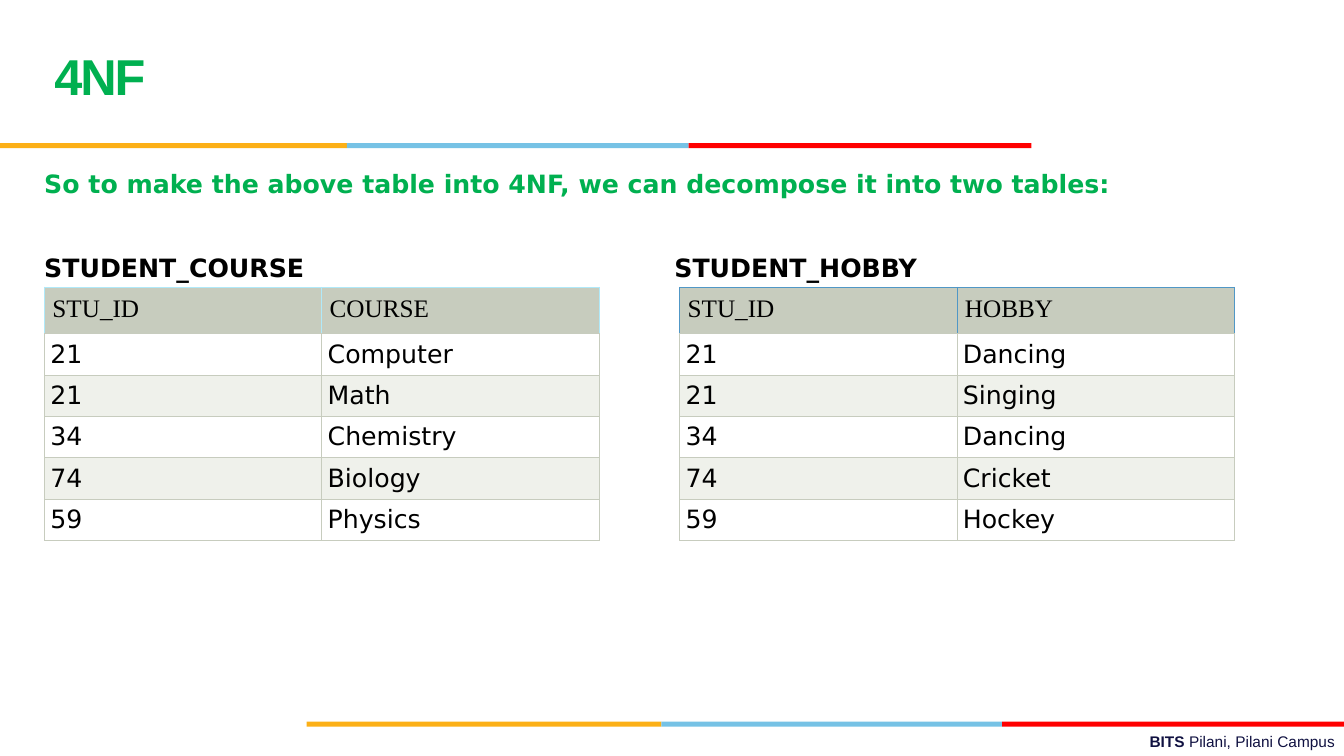
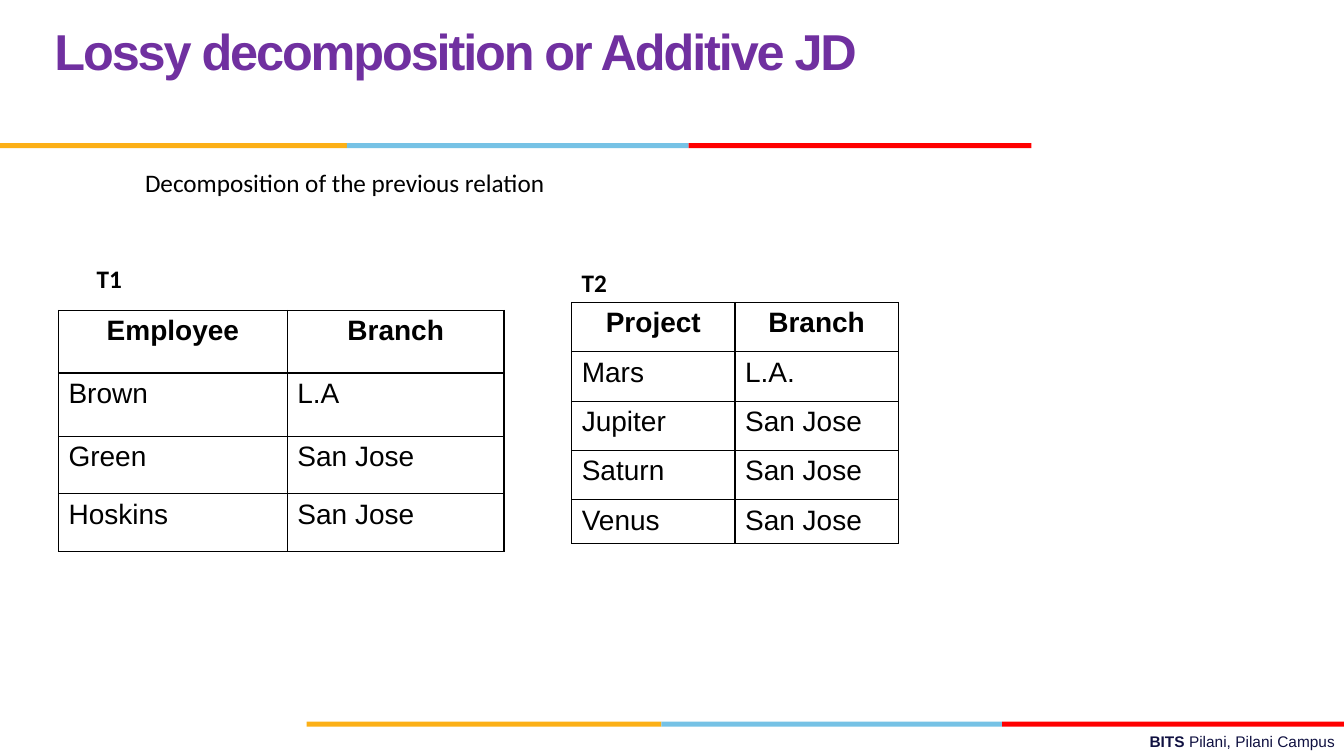
import pptx
import pptx.dml.color
import pptx.enum.shapes
import pptx.enum.text
import pptx.oxml
import pptx.oxml.ns
import pptx.util

Inches = pptx.util.Inches
Pt = pptx.util.Pt
ALIGN = pptx.enum.text.PP_ALIGN

COLORS = {
    "gold": "FCB017",
    "blue": "76C2E5",
    "red": "FF0000",
    "navy": "101141",
    "green": "00B050",
    "purple": "7030A0",
    "black": "000000",
    "white": "FFFFFF",
    "sage": "C7CCBE",
    "pale": "EFF1EB",
    "ice": "B0E9F9",
    "steel": "5097C6",
}
BANDS = ("gold", "blue", "red")


def tint(name):
    return pptx.dml.color.RGBColor.from_string(COLORS[name])


def style(para, face, size, color="black", bold=False, align=ALIGN.LEFT):
    para.alignment = align
    font = para.font
    font.name = face
    font.size = Pt(size)
    font.bold = bold
    font.color.rgb = tint(color)


def place(shape, box):
    shape.left, shape.top, shape.width, shape.height = map(Inches, box)


def label(slide, box, text, face, **look):
    frame = slide.shapes.add_textbox(*map(Inches, box)).text_frame
    frame.word_wrap = True
    para = frame.paragraphs[0]
    para.text = text
    style(para, face, 18, **look)


def stripe(slide, box, widths):
    left, top, _, height = box
    for name, width in zip(BANDS, widths):
        bar = slide.shapes.add_shape(
            pptx.enum.shapes.MSO_SHAPE.RECTANGLE,
            *map(Inches, (left, top, width, height)))
        bar.shadow.inherit = False
        bar.fill.solid()
        bar.fill.fore_color.rgb = tint(name)
        bar.line.fill.background()
        left += width


def footer(slide, box):
    left, top, width, height = box
    stripe(slide, (left, top, width, 0.05), (3.52, 3.38, 3.4))
    note = slide.shapes.add_textbox(
        *map(Inches, (left, top + 0.05, width, height - 0.05)))
    note.text_frame.word_wrap = True
    para = note.text_frame.paragraphs[0]
    style(para, "Arial", 11, "navy", align=ALIGN.RIGHT)
    for text, bold in (("BITS ", True), ("Pilani, Pilani Campus", False)):
        run = para.add_run()
        run.text = text
        run.font.bold = bold


def header(slide, box, text, color):
    title = slide.shapes.title
    place(title, box)
    frame = title.text_frame
    frame.auto_size = pptx.enum.text.MSO_AUTO_SIZE.NONE
    frame.vertical_anchor = pptx.enum.text.MSO_ANCHOR.MIDDLE
    para = frame.paragraphs[0]
    para.text = text
    para.line_spacing = Pt(36)
    style(para, "Arial", 36, color, bold=True)
    para.font._element.set("spc", "-150") if hasattr(para.font, "_element") \
        else para.font._rPr.set("spc", "-150")
    stripe(slide, (0, 1.42, 10.23, 0.05), (3.44, 3.39, 3.4))


def edge(cell, colors, width):
    props = cell._tc.get_or_add_tcPr()
    for spot, (side, name) in enumerate(zip("LRTB", colors)):
        props.insert(spot, pptx.oxml.parse_xml(
            f'<a:ln{side} {pptx.oxml.ns.nsdecls("a")} w="{Pt(width)}">'
            f'<a:solidFill><a:srgbClr val="{COLORS[name]}"/></a:solidFill>'
            f'</a:ln{side}>'))


def grid(slide, spot, cols, rows, data, dress):
    frame = slide.shapes.add_table(
        len(rows), len(cols),
        *map(Inches, (*spot, sum(cols), sum(rows))))
    table = frame.table
    table.first_row = table.horz_banding = False
    for col, width in zip(table.columns, cols):
        col.width = Inches(width)
    for row, height in zip(table.rows, rows):
        row.height = Inches(height)
    for r, line in enumerate(data):
        for c, text in enumerate(line):
            cell = table.cell(r, c)
            cell.text = text
            dress(cell, r)


def pad(cell, left, top, right, bottom):
    cell.margin_left, cell.margin_top = Inches(left), Inches(top)
    cell.margin_right, cell.margin_bottom = Inches(right), Inches(bottom)


def paint(cell, name):
    cell.fill.solid()
    cell.fill.fore_color.rgb = tint(name)


def banded(rim):
    def dress(cell, row):
        para = cell.text_frame.paragraphs[0]
        if row == 0:
            pad(cell, 0.08, 0.08, 0.08, 0.08)
            paint(cell, "sage")
            style(para, "Times New Roman", 18)
            edge(cell, (rim, rim, rim, "sage"), 0.5)
        else:
            pad(cell, 0.06, 0.06, 0.06, 0.05)
            paint(cell, "white" if row % 2 else "pale")
            style(para, "DejaVu Sans", 18)
            edge(cell, ("sage",) * 4, 0.5)
    return dress


def ruled(cell, row):
    pad(cell, 0.1, 0.05, 0.1, 0.05)
    paint(cell, "white")
    style(cell.text_frame.paragraphs[0], "Arial", 20, bold=row == 0,
          align=ALIGN.LEFT if row else ALIGN.CENTER)
    edge(cell, ("black",) * 4, 1)


def start(deck, text, color, height):
    slide = deck.slides.add_slide(deck.slide_layouts[5])
    footer(slide, (3.04, 7.16, 10.3, 0.34))
    header(slide, (0.44, 0.17, 9.22, height), text, color)
    return slide


def normal(deck):
    slide = start(deck, "4NF", "green", 1.25)
    label(slide, (0.34, 1.62, 11.28, 0.4),
          "So to make the above table into 4NF, we can decompose it "
          "into two tables:", "DejaVu Sans", color="green", bold=True)
    keys = ("21", "21", "34", "74", "59")
    parts = (
        ("COURSE", 0.34, 0.44, "ice",
         ("Computer", "Math", "Chemistry", "Biology", "Physics")),
        ("HOBBY", 6.59, 6.74, "steel",
         ("Dancing", "Singing", "Dancing", "Cricket", "Hockey")),
    )
    for name, head, left, rim, items in parts:
        label(slide, (head, 2.45, 2.85, 0.4), f"STUDENT_{name}",
              "DejaVu Sans", bold=True)
        grid(slide, (left, 2.85), (2.75, 2.75), (0.44,) + (0.4,) * 5,
             [("STU_ID", name), *zip(keys, items)], banded(rim))


def lossy(deck):
    slide = start(deck, "Lossy decomposition or Additive JD", "purple", 0.75)
    label(slide, (0.29, 1.61, 6.26, 0.4),
          "Decomposition of the previous relation", "Calibri",
          align=ALIGN.CENTER)
    parts = (
        ("T1", (0.86, 2.56), (0.58, 3.08), (2.27, 2.15),
         (0.62, 0.63, 0.57, 0.57),
         (("Employee", "Branch"), ("Brown", "L.A"),
          ("Green", "San Jose"), ("Hoskins", "San Jose"))),
        ("T2", (5.67, 2.6), (5.67, 3), (1.62, 1.62),
         (0.49,) * 4 + (0.43,),
         (("Project", "Branch"), ("Mars", "L.A."),
          ("Jupiter", "San Jose"), ("Saturn", "San Jose"),
          ("Venus", "San Jose"))),
    )
    for name, head, spot, cols, rows, data in parts:
        label(slide, (*head, 0.5, 0.4), name, "Calibri", bold=True)
        grid(slide, spot, cols, rows, data, ruled)


def main():
    deck = pptx.Presentation()
    deck.slide_width = Inches(13.33)
    deck.slide_height = Inches(7.5)
    normal(deck)
    lossy(deck)
    deck.save("out.pptx")


if __name__ == "__main__":
    main()
